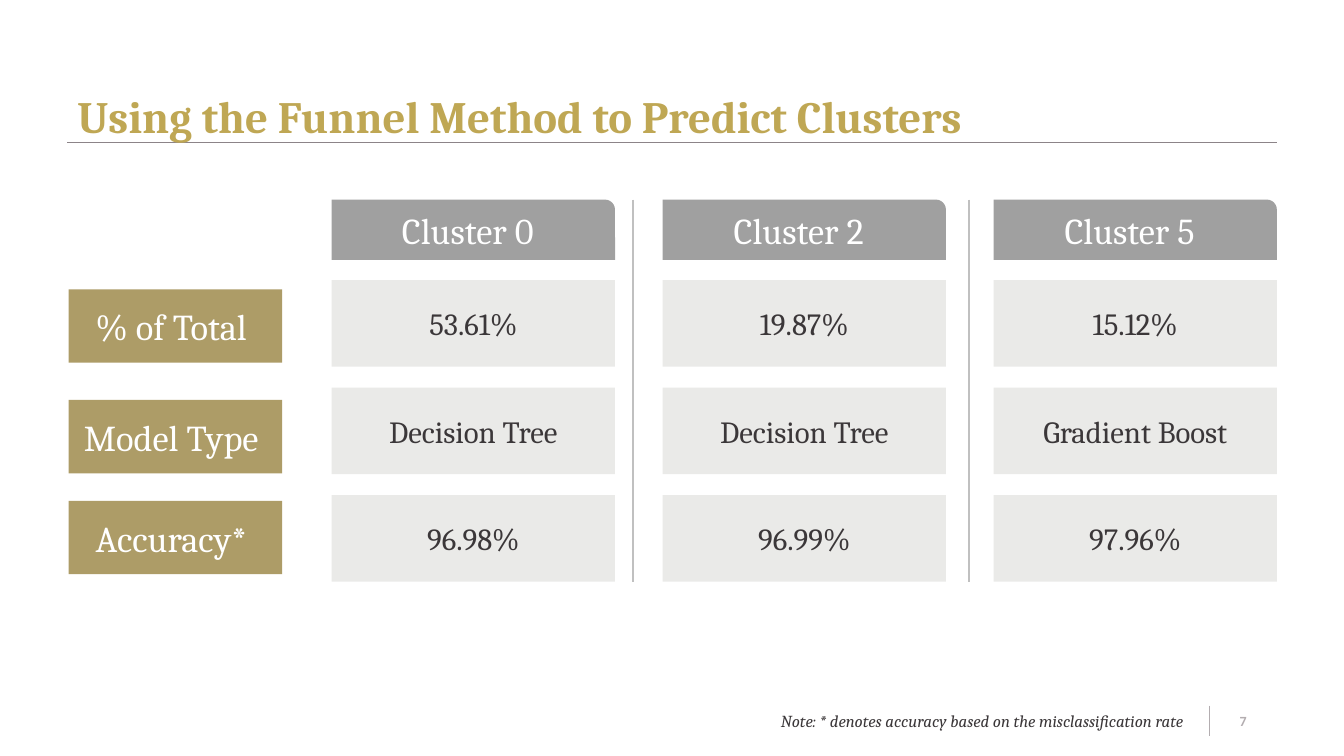
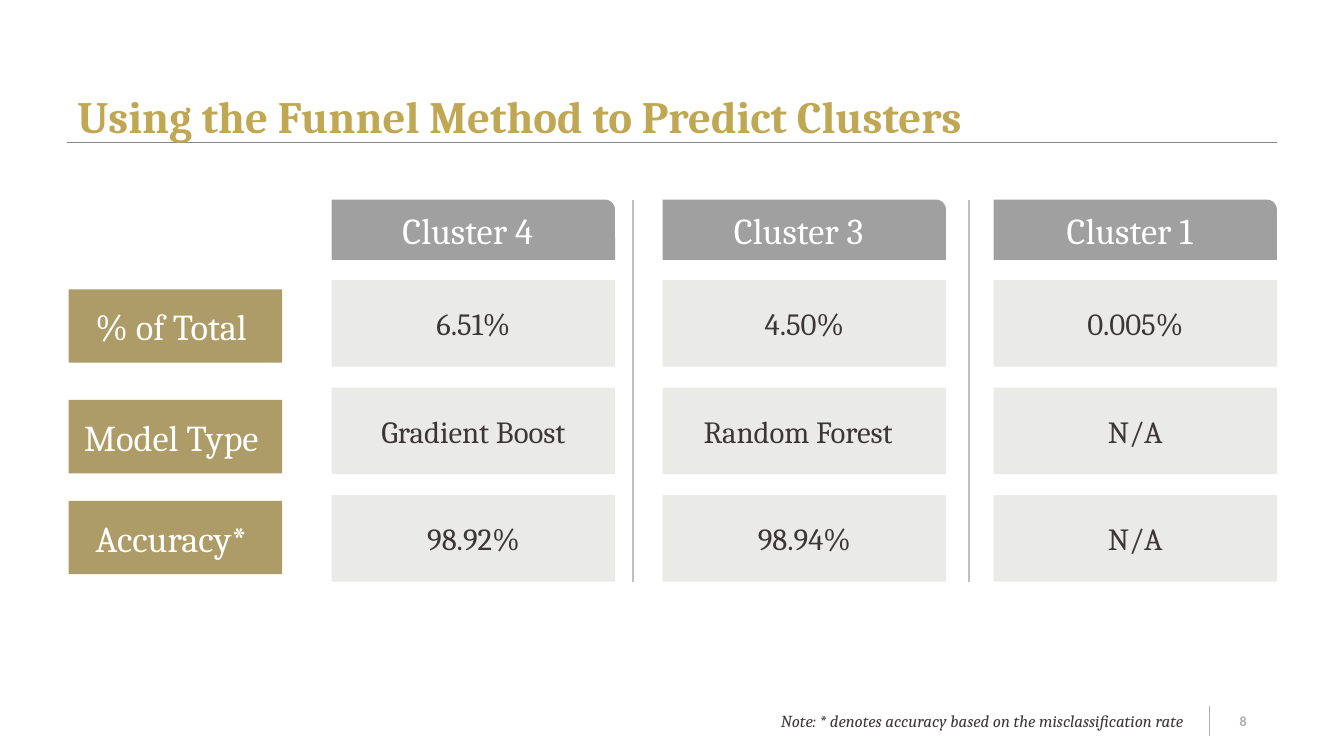
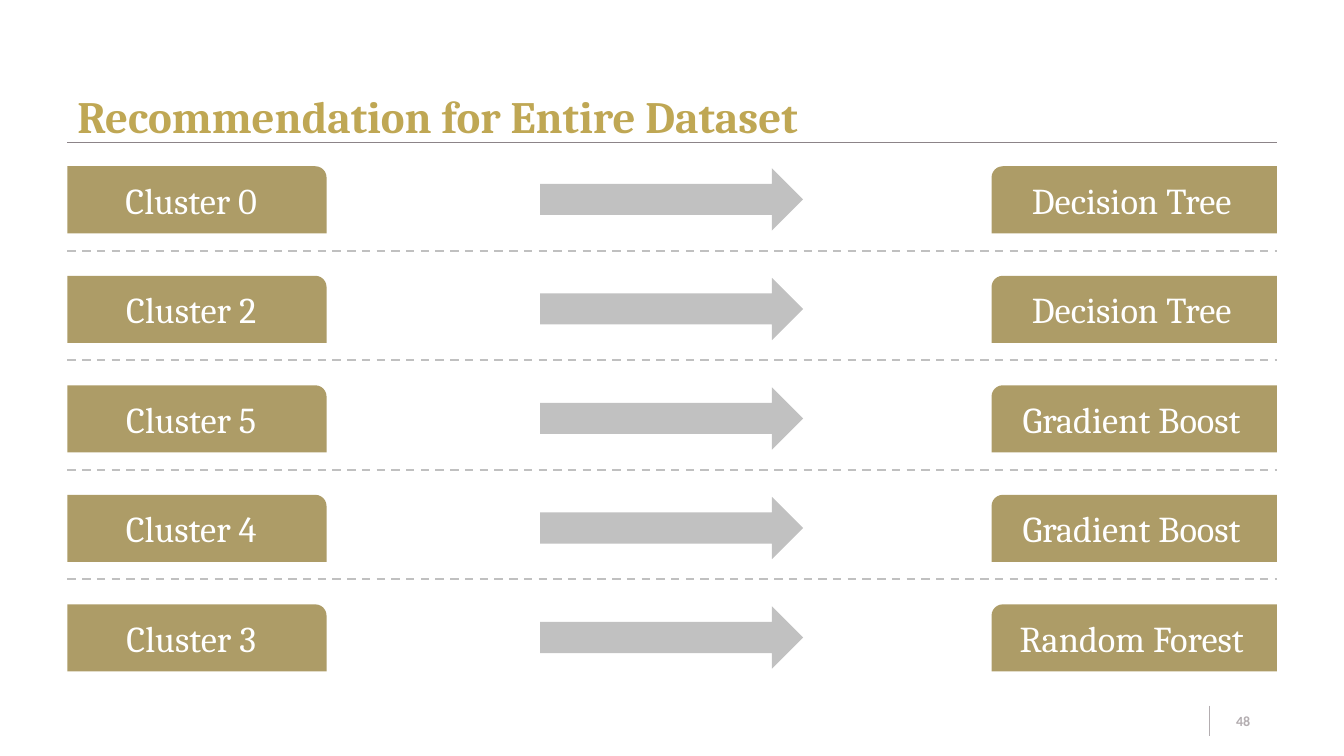
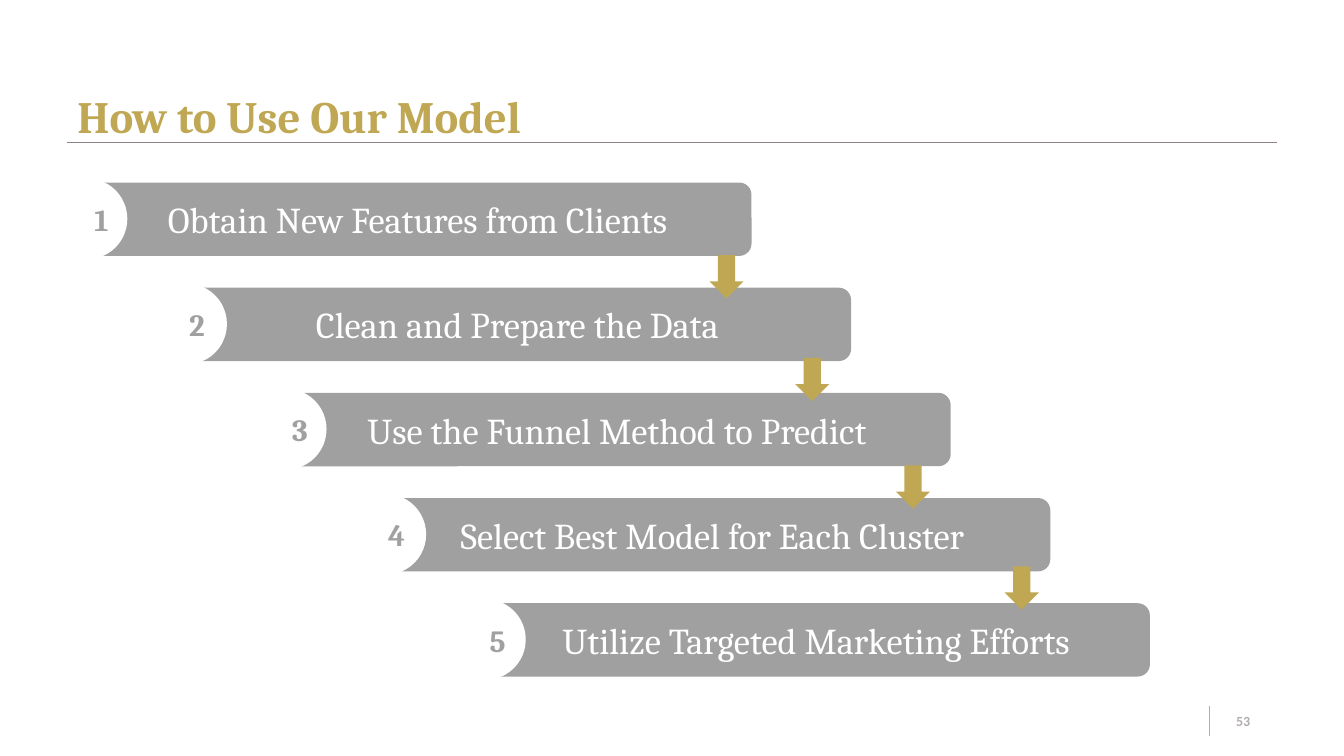
from lxml.etree import SubElement
from pptx import Presentation
from pptx.dml.color import RGBColor
from pptx.enum.dml import MSO_LINE
from pptx.enum.shapes import MSO_CONNECTOR, MSO_SHAPE
from pptx.enum.text import MSO_ANCHOR, PP_ALIGN
from pptx.oxml.ns import qn
from pptx.util import Cm, Pt

GOLD, KHAKI = "BFA754", "AD9C67"
GRAY, ARROW_GRAY, DIVIDER_GRAY = "A0A0A0", "C1C1C1", "C0C0C0"
CELL_GRAY, INK, WHITE = "EAEAE8", "3B3739", "FFFFFF"
FOOTER_GRAY, RULE_GRAY = "B3ADB0", "8C8488"
LEFT, RIGHT = 1.7, 32.18


def rgb(value):
    return RGBColor.from_string(value)


class Deck:
    """Holds the shared style and the slide being built; lengths are in cm."""

    def __init__(self):
        self.presentation = Presentation()
        self.presentation.slide_width = Cm(33.87)
        self.presentation.slide_height = Cm(19.05)
        self.shapes = None

    def new_slide(self, title, number):
        layout = self.presentation.slide_layouts[6]
        self.shapes = self.presentation.slides.add_slide(layout).shapes
        # Footer and title rule
        self.line(30.48, 17.78, 30.48, 18.54, FOOTER_GRAY, 0.75)
        self.line(LEFT, 3.58, RIGHT, 3.58, RULE_GRAY, 0.5)
        self.text(30.48, 17.65, 1.7, 1.02, str(number), 10, FOOTER_GRAY, bold=True,
                  name="Calibri", align=PP_ALIGN.CENTER, anchor=MSO_ANCHOR.MIDDLE)
        # Title
        heading = self.text(LEFT, 1.7, 30.48, 2.03, title, 32, GOLD, bold=True,
                            anchor=MSO_ANCHOR.BOTTOM)
        heading.paragraphs[0].line_spacing = 0.9

    def fill_text(self, frame, text, size, color, bold=False, italic=False, name="Cambria",
                  align=PP_ALIGN.LEFT, anchor=MSO_ANCHOR.TOP):
        frame.word_wrap = True
        frame.vertical_anchor = anchor
        paragraph = frame.paragraphs[0]
        paragraph.add_run().text = text
        paragraph.alignment = align
        font = paragraph.font
        font.name, font.size, font.bold, font.italic = name, Pt(size), bold, italic
        font.color.rgb = rgb(color)

    def text(self, left, top, width, height, text, size, color, **style):
        box = self.shapes.add_textbox(Cm(left), Cm(top), Cm(width), Cm(height))
        self.fill_text(box.text_frame, text, size, color, **style)
        return box.text_frame

    def block(self, left, top, width, height, fill, text="", size=26, color=WHITE,
              kind=MSO_SHAPE.RECTANGLE, flip=False):
        block = self.shapes.add_shape(kind, Cm(left), Cm(top), Cm(width), Cm(height))
        block.shadow.inherit = False
        block.fill.solid()
        block.fill.fore_color.rgb = rgb(fill)
        block.line.fill.background()
        if flip:
            block._element.spPr.xfrm.set("flipH", "1")
        if text:
            self.fill_text(block.text_frame, text, size, color,
                           align=PP_ALIGN.CENTER, anchor=MSO_ANCHOR.MIDDLE)

    def line(self, x1, y1, x2, y2, color, width, dash=None):
        line = self.shapes.add_connector(MSO_CONNECTOR.STRAIGHT,
                                         Cm(x1), Cm(y1), Cm(x2), Cm(y2))
        line.line.color.rgb = rgb(color)
        line.line.width = Pt(width)
        if dash:
            line.line.dash_style = dash
        SubElement(line._element.spPr, qn("a:effectLst"))


def cluster_slide(deck, number, clusters):
    deck.new_slide("Using the Funnel Method to Predict Clusters", number)
    # One column per cluster
    for column, (cluster, *values) in enumerate(clusters):
        left = 8.36 + column * 8.34
        deck.block(left, 5.03, 7.14, 1.52, GRAY, cluster + " ",
                   kind=MSO_SHAPE.ROUND_1_RECTANGLE)
        for row, value in enumerate(values):
            deck.block(left, 7.06 + row * 2.71, 7.14, 2.18, CELL_GRAY, value, 22, INK)
    # Row labels
    for label, top in (("% of Total ", 7.29), ("Model Type ", 10.08), ("Accuracy* ", 12.62)):
        deck.block(1.73, top, 5.38, 1.85, KHAKI, label)
    # Column dividers
    for x in (15.95, 24.41):
        deck.line(x, 5.03, x, 14.66, DIVIDER_GRAY, 1.5)
    # Note
    note = deck.text(18.16, 17.78, 14.86, 0.76,
                     "Note: * denotes accuracy based on the misclassification rate",
                     12, INK, italic=True)
    note.margin_left = Cm(1.52)


def recommendation_slide(deck):
    deck.new_slide("Recommendation for Entire Dataset", 48)
    recommendations = (("Cluster 0 ", "Decision Tree "), ("Cluster 2 ", "Decision Tree "),
                       ("Cluster 5 ", "Gradient Boost "), ("Cluster 4 ", "Gradient Boost "),
                       ("Cluster 3 ", "Random Forest "))
    for row, (cluster, model) in enumerate(recommendations):
        top = 4.19 + row * 2.76
        deck.block(LEFT, top, 6.53, 1.69, KHAKI, cluster, kind=MSO_SHAPE.ROUND_1_RECTANGLE)
        deck.block(13.61, top + 0.05, 6.63, 1.57, ARROW_GRAY, kind=MSO_SHAPE.RIGHT_ARROW)
        deck.block(24.99, top, 7.19, 1.69, KHAKI, model,
                   kind=MSO_SHAPE.ROUND_1_RECTANGLE, flip=True)
        if row < len(recommendations) - 1:
            deck.line(LEFT, top + 2.13, RIGHT, top + 2.13, DIVIDER_GRAY, 1.5, MSO_LINE.DASH)


def steps_slide(deck):
    deck.new_slide("How to Use Our Model", 53)
    # Staircase of steps, each with the left of its digit
    steps = (("Obtain New Features from Clients", 2.13),
             ("Clean and Prepare the Data", 4.52),
             ("Use the Funnel Method to Predict", 7.11),
             ("Select Best Model for Each Cluster ", 9.53),
             ("Utilize Targeted Marketing Efforts", 12.09))
    for index, (step, digit_left) in enumerate(steps):
        left, top = 2.13 + index * 2.51, 4.6 + index * 2.65
        deck.block(left, top, 16.81, 1.85, GRAY, step, kind=MSO_SHAPE.ROUNDED_RECTANGLE)
        deck.block(left - 0.93, top - 0.1, 2.01, 2.03, WHITE, kind=MSO_SHAPE.OVAL)
        digit = deck.text(digit_left, top + 0.33, 0.97, 1.19, str(index + 1), 22, GRAY,
                          bold=True)
        digit.word_wrap = False
    # Arrows between steps
    for left, top in ((17.88, 6.43), (20.04, 9.02), (22.58, 11.73), (25.32, 14.27)):
        deck.block(left, top, 0.86, 1.09, GOLD, kind=MSO_SHAPE.DOWN_ARROW)


def main():
    deck = Deck()
    cluster_slide(deck, 7, (("Cluster 0", "53.61%", "Decision Tree", "96.98%"),
                            ("Cluster 2", "19.87%", "Decision Tree", "96.99%"),
                            ("Cluster 5", "15.12%", "Gradient Boost", "97.96%")))
    cluster_slide(deck, 8, (("Cluster 4", "6.51%", "Gradient Boost", "98.92%"),
                            ("Cluster 3", "4.50%", "Random Forest\t", "98.94%"),
                            ("Cluster 1", "0.005%", "N/A", "N/A")))
    recommendation_slide(deck)
    steps_slide(deck)
    deck.presentation.save("out.pptx")


if __name__ == "__main__":
    main()
